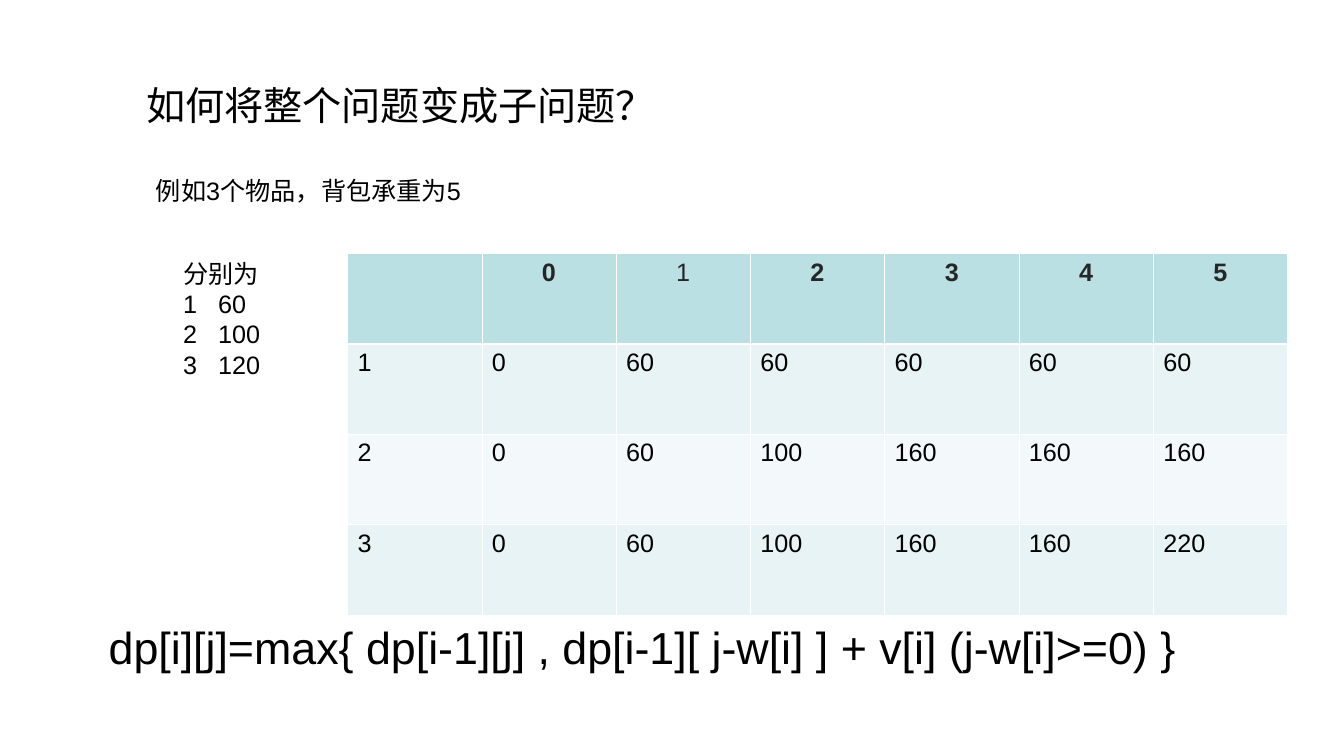
from lxml.etree import SubElement
from pptx import Presentation
from pptx.dml.color import RGBColor
from pptx.enum.text import MSO_ANCHOR, MSO_AUTO_SIZE, PP_ALIGN
from pptx.oxml.ns import qn
from pptx.util import Cm, Pt

FONT = "Arial"
BLACK, HEADER_TEXT, WHITE = "000000", "262626", "FFFFFF"
HEADER_FILL, ODD_FILL, EVEN_FILL = "BBE0E3", "E7F3F4", "F3F9FA"
THIN, THICK = 0.45, 1.47

CAPACITIES = ["", "0", "1", "2", "3", "4", "5"]
BEST_VALUES = [
    ["1", "0", "60", "60", "60", "60", "60"],
    ["2", "0", "60", "100", "160", "160", "160"],
    ["3", "0", "60", "100", "160", "160", "220"],
]
ITEMS = "分别为\n1\t60\n2\t100\n3\t120"
FORMULA = "dp[i][j]=max{ dp[i-1][j] , dp[i-1][ j-w[i] ] + v[i] (j-w[i]>=0) }"


def rgb(hex_color):
    return RGBColor.from_string(hex_color)


def style(paragraph, size, color=BLACK, bold=False, align=PP_ALIGN.LEFT):
    paragraph.alignment = align
    for font in [paragraph.font] + [run.font for run in paragraph.runs]:
        font.name = FONT
        font.size = Pt(size)
        font.bold = bold
        font.color.rgb = rgb(color)


def write(frame, text, size, wrap=False):
    frame.text = text
    frame.word_wrap = wrap
    frame.auto_size = MSO_AUTO_SIZE.SHAPE_TO_FIT_TEXT
    frame.vertical_anchor = MSO_ANCHOR.TOP
    for paragraph in frame.paragraphs:
        style(paragraph, size)


def add_title(slide, text):
    title = slide.shapes.title
    title.left, title.top = Cm(3.43), Cm(1.93)
    title.width, title.height = Cm(13.34), Cm(1.45)
    write(title.text_frame, text, 28)


def add_text(slide, text, size, left, top, width, height, wrap=False):
    box = slide.shapes.add_textbox(Cm(left), Cm(top), Cm(width), Cm(height))
    write(box.text_frame, text, size, wrap)
    return box.text_frame


def add_tab_stop(paragraph, position):
    tabs = SubElement(paragraph._p.get_or_add_pPr(), qn("a:tabLst"))
    SubElement(tabs, qn("a:tab"), pos=str(Cm(position)), algn="l")


def add_borders(cell, top, bottom):
    properties = cell._tc.get_or_add_tcPr()
    for side, width in (("L", THIN), ("R", THIN), ("T", top), ("B", bottom)):
        line = SubElement(properties, qn(f"a:ln{side}"), w=str(Pt(width)))
        fill = SubElement(line, qn("a:solidFill"))
        SubElement(fill, qn("a:srgbClr"), val=WHITE)


def fill_cell(cell, text, row, column):
    cell.text = text
    paragraph = cell.text_frame.paragraphs[0]
    if row == 0:
        style(paragraph, 18, HEADER_TEXT, text != "1", PP_ALIGN.CENTER)
    else:
        style(paragraph, 18)
    add_borders(cell, THICK if row == 1 else THIN, THICK if row == 0 else THIN)
    cell.fill.solid()
    band = ODD_FILL if row % 2 else EVEN_FILL
    cell.fill.fore_color.rgb = rgb(HEADER_FILL if row == 0 else band)


def add_dp_table(slide):
    rows = [CAPACITIES] + BEST_VALUES
    table = slide.shapes.add_table(
        len(rows), len(CAPACITIES), Cm(8.76), Cm(6.38), Cm(23.7), Cm(9.12)
    ).table
    table.first_row = table.horz_banding = False
    for row, values in enumerate(rows):
        for column, value in enumerate(values):
            fill_cell(table.cell(row, column), value, row, column)


def main():
    deck = Presentation()
    deck.slide_width, deck.slide_height = Cm(33.88), Cm(19.05)
    slide = deck.slides.add_slide(deck.slide_layouts[5])
    add_title(slide, "如何将整个问题变成子问题？")
    add_text(slide, "例如3个物品，背包承重为5", 18, 3.68, 4.29, 8.66, 1.02)
    items = add_text(slide, ITEMS, 18, 4.37, 6.38, 2.44, 3.3)
    for item in items.paragraphs[1:]:
        properties = item._p.get_or_add_pPr()
        defaults = properties.find(qn("a:defRPr"))
        add_tab_stop(item, 0.88)
        properties.append(defaults)
    add_dp_table(slide)
    add_text(slide, FORMULA, 32, 2.49, 15.49, 30.5, 1.63, wrap=True)
    deck.save("out.pptx")


if __name__ == "__main__":
    main()
